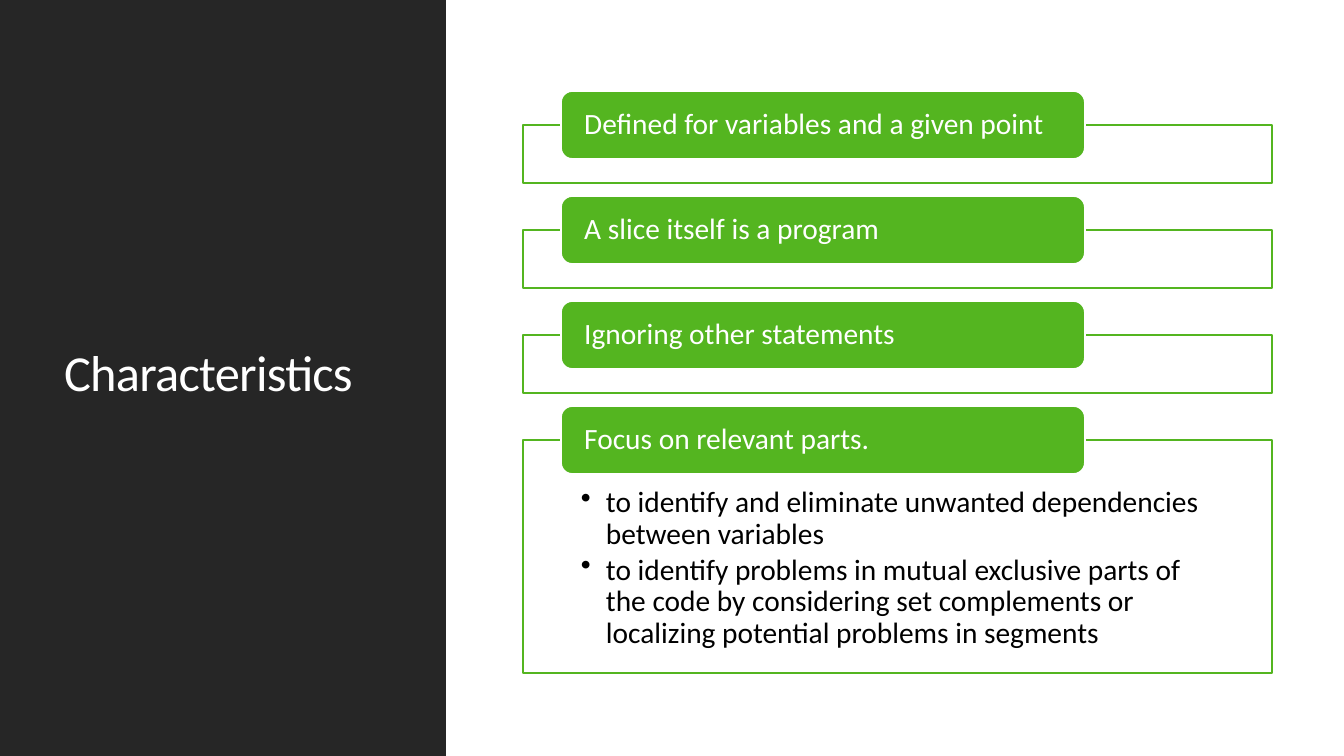
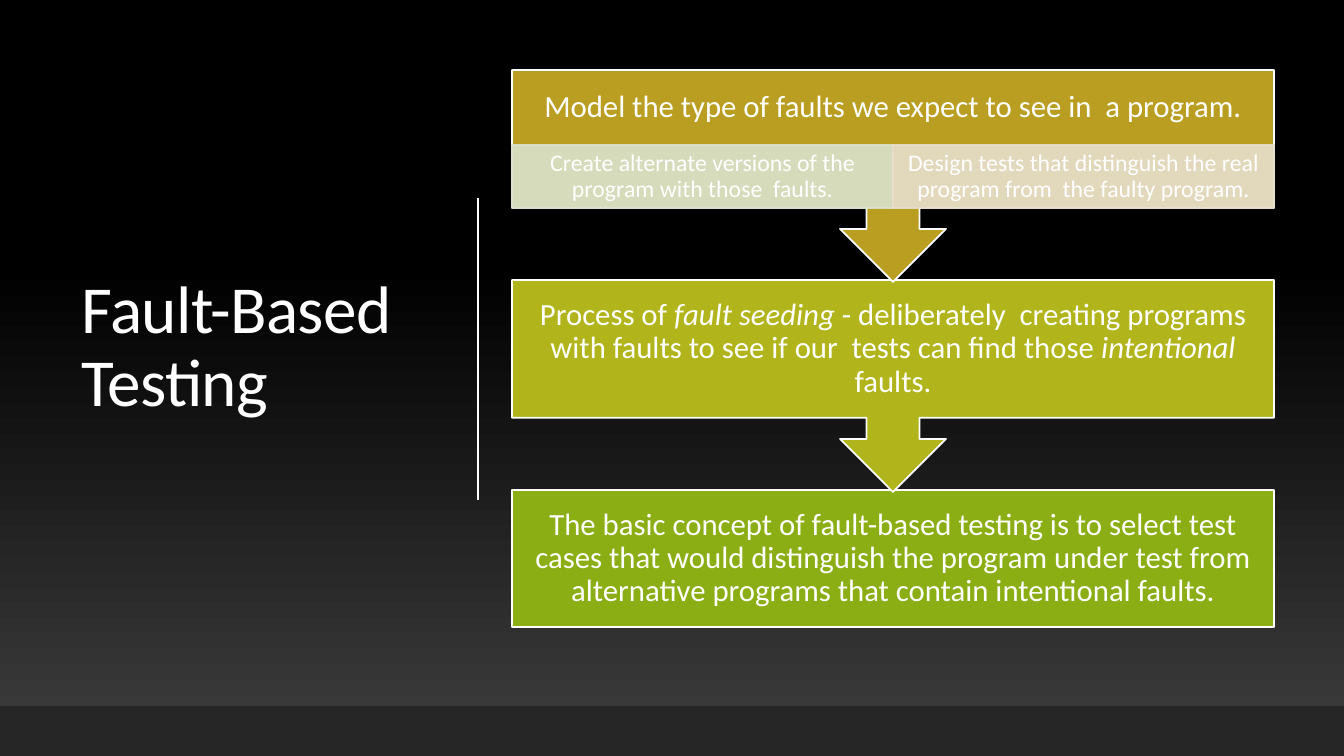
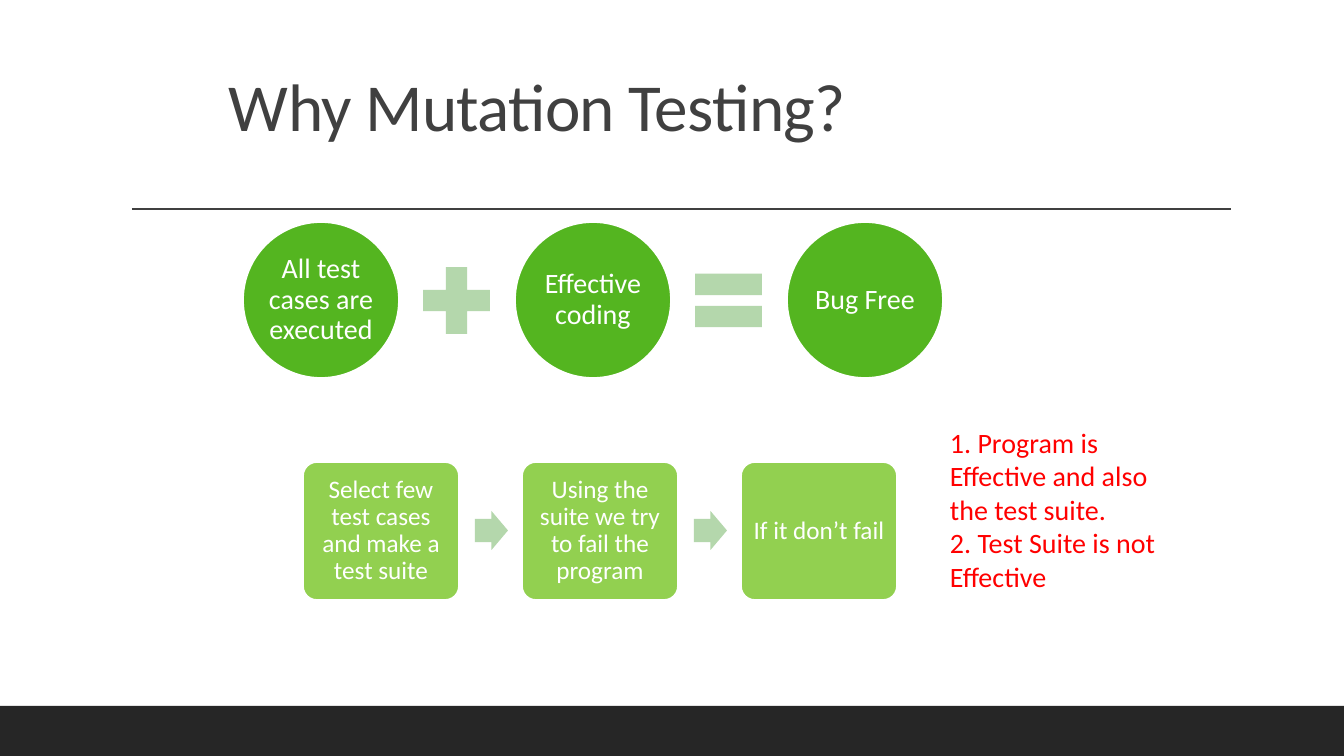
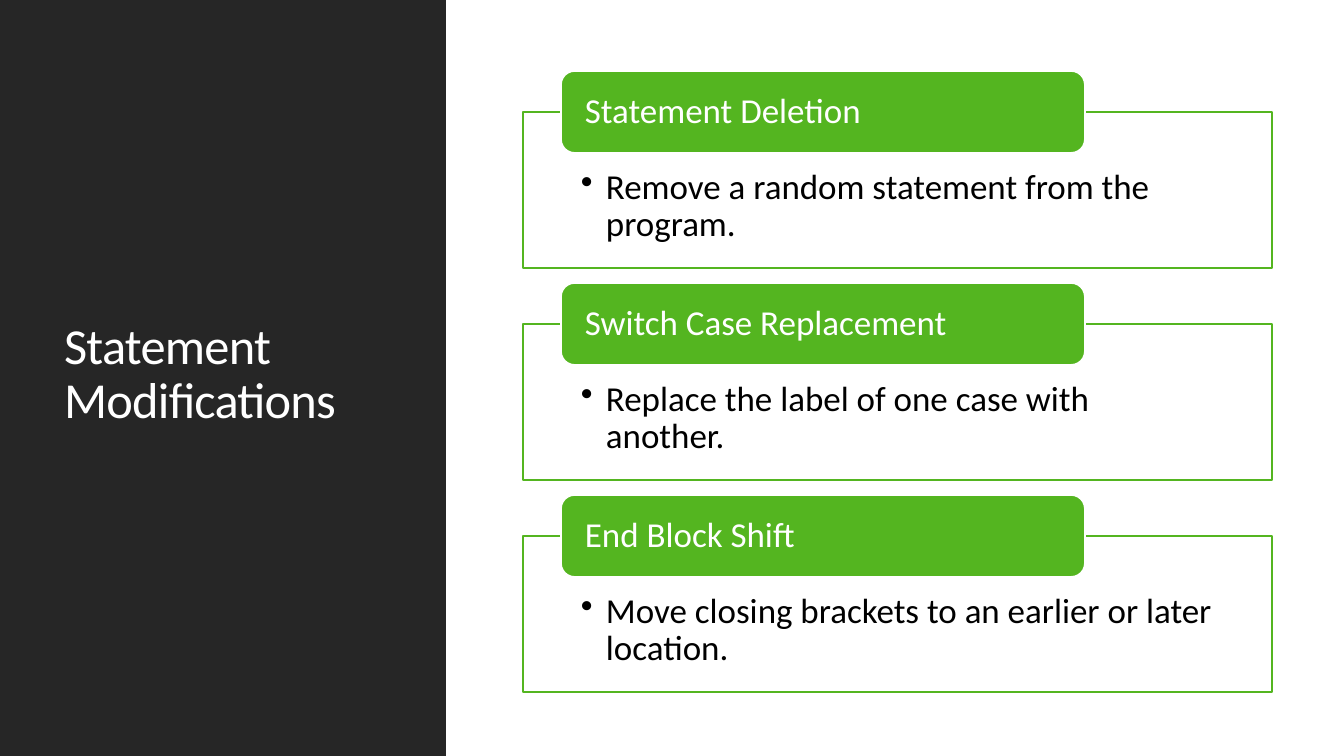
from lxml import etree
from pptx import Presentation
from pptx import util as u
from pptx.dml.color import RGBColor
from pptx.enum import shapes, text
from pptx.oxml import ns

WHITE = RGBColor(0xFF, 0xFF, 0xFF)
BLACK = RGBColor(0x00, 0x00, 0x00)
CHARCOAL = RGBColor(0x26, 0x26, 0x26)
GRAPHITE = RGBColor(0x3F, 0x3F, 0x3F)
TITLE_GREY = RGBColor(0x40, 0x40, 0x40)
GREEN = RGBColor(0x54, 0xB5, 0x20)
LIME = RGBColor(0x92, 0xD0, 0x50)
SAGE = RGBColor(0xB4, 0xD7, 0xAC)
GOLD = RGBColor(0xBA, 0x9E, 0x21)
OLIVE = RGBColor(0xB1, 0xB4, 0x1A)
LEAF = RGBColor(0x8A, 0xAE, 0x13)
PALE_GREEN = RGBColor(0xDA, 0xE3, 0xCC)
PALE_GOLD = RGBColor(0xE7, 0xDF, 0xCD)
RED = RGBColor(0xFF, 0x00, 0x00)

FONT = "Calibri"
WIDTH, HEIGHT = 1344, 756
PX_PER_INCH = 100.8
SHAPE = shapes.MSO_SHAPE
LEFT, CENTER = text.PP_ALIGN.LEFT, text.PP_ALIGN.CENTER
TOP, MIDDLE, BOTTOM = (
    text.MSO_ANCHOR.TOP,
    text.MSO_ANCHOR.MIDDLE,
    text.MSO_ANCHOR.BOTTOM,
)


def px(length):
    return u.Emu(round(length * u.Inches(1) / PX_PER_INCH))


def write_text(frame, paragraphs, size, color=WHITE, align=CENTER, anchor=MIDDLE,
               insets=(10, 5, 10, 5), line_spacing=0.9, tracking=0, bullet=False):
    """Fill a text frame; pieces between asterisks are set in italics."""
    frame.word_wrap = True
    frame.vertical_anchor = anchor
    (frame.margin_left, frame.margin_top,
     frame.margin_right, frame.margin_bottom) = map(px, insets)
    for index, content in enumerate(paragraphs):
        paragraph = frame.paragraphs[0] if index == 0 else frame.add_paragraph()
        if bullet:
            properties = paragraph._p.get_or_add_pPr()
            properties.set("marL", str(px(25)))
            properties.set("indent", str(-px(25)))
            etree.SubElement(properties, ns.qn("a:buChar")).set("char", "•")
            paragraph.space_after = u.Pt(3)
        paragraph.alignment = align
        paragraph.line_spacing = line_spacing
        for position, piece in enumerate(content.split("*")):
            run = paragraph.add_run()
            run.text = piece
            run.font.name = FONT
            run.font.size = u.Pt(size)
            run.font.color.rgb = color
            if position % 2:
                run.font.italic = True
            if tracking:
                run._r.get_or_add_rPr().set("spc", str(tracking))


class Deck:
    def __init__(self):
        self.presentation = Presentation()
        self.presentation.slide_width = px(WIDTH)
        self.presentation.slide_height = px(HEIGHT)
        self.slide = None

    def new_slide(self):
        self.slide = self.presentation.slides.add_slide(
            self.presentation.slide_layouts[6])

    def dark_background(self):
        fill = self.slide.background.fill
        fill.gradient()
        fill.gradient_angle = 90
        stops = ((0, GRAPHITE), (0.65, BLACK))
        for stop, (position, color) in zip(fill.gradient_stops, stops):
            stop.position = position
            stop.color.rgb = color

    def shape(self, kind, left, top, width, height, fill, line=None, opacity=100):
        shape = self.slide.shapes.add_shape(
            kind, px(left), px(top), px(width), px(height))
        shape.shadow.inherit = False
        shape.fill.solid()
        shape.fill.fore_color.rgb = fill
        if line is None:
            shape.line.fill.background()
        else:
            shape.line.color.rgb = line
            shape.line.width = u.Pt(1.25)
        if opacity < 100:
            for color in shape._element.spPr.iter(ns.qn("a:srgbClr")):
                alpha = etree.SubElement(color, ns.qn("a:alpha"))
                alpha.set("val", str(opacity * 1000))
        return shape

    def text_box(self, left, top, width, height, paragraphs, **style):
        box = self.slide.shapes.add_textbox(
            px(left), px(top), px(width), px(height))
        write_text(box.text_frame, paragraphs, align=LEFT, **style)

    def title(self, left, top, width, height, content, size, **style):
        self.text_box(left, top, width, height, [content], size=size,
                      tracking=-50, **style)

    def rule(self, start, end, color):
        line = self.slide.shapes.add_connector(
            shapes.MSO_CONNECTOR.STRAIGHT, *map(px, start + end))
        line.line.color.rgb = color
        line.line.width = u.Pt(1)
        etree.SubElement(line._element.spPr, ns.qn("a:effectLst"))

    def bottom_band(self):
        self.shape(SHAPE.RECTANGLE, 0, 706, WIDTH, 50, CHARCOAL)

    def side_title(self, content):
        self.shape(SHAPE.RECTANGLE, 0, 0, 446, HEIGHT, CHARCOAL)
        self.title(54, 57, 340, 636, content, 36)

    def card(self, top, height, label_height, heading, points, size):
        frame = self.shape(SHAPE.RECTANGLE, 523, top, 749, height, WHITE, GREEN)
        if points:
            write_text(frame.text_frame, points, size, color=BLACK, align=LEFT,
                       anchor=TOP, bullet=True,
                       insets=(58, label_height * 7 // 10, 58, 16))
        label = self.shape(SHAPE.ROUNDED_RECTANGLE, 561, top - label_height // 2,
                           524, label_height, GREEN, WHITE)
        write_text(label.text_frame, [heading], size, align=LEFT,
                   insets=(20, 0, 20, 0))


def characteristics(deck):
    deck.new_slide()
    deck.side_title("Characteristics")
    cards = [
        ("Defined for variables and a given point", []),
        ("A slice itself is a program", []),
        ("Ignoring other statements", []),
        ("Focus on relevant parts.", [
            "to identify and eliminate unwanted dependencies between variables",
            "to identify problems in mutual exclusive parts of the code by "
            "considering set complements or localizing potential problems "
            "in segments",
        ]),
    ]
    for index, (heading, points) in enumerate(cards):
        deck.card(125 + 105 * index, 233 if points else 58, 68,
                  heading, points, 21)


def fault_based_testing(deck):
    deck.new_slide()
    deck.dark_background()
    deck.title(72, 70, 372, 557, "Fault-Based Testing", 48)
    deck.rule((478, 198), (478, 500), WHITE)
    deck.bottom_band()
    left, top, width, step = 512, 70, 762, 210
    steps = [
        (SHAPE.DOWN_ARROW_CALLOUT, 212, GOLD, 80,
         "Model the type of faults we expect to see in  a program."),
        (SHAPE.DOWN_ARROW_CALLOUT, 212, OLIVE, 17,
         "Process of *fault seeding *- deliberately  creating programs with "
         "faults to see if our  tests can find those *intentional *faults."),
        (SHAPE.RECTANGLE, 137, LEAF, 17,
         "The basic concept of fault-based testing is to select test cases "
         "that would distinguish the program under test from alternative "
         "programs that contain intentional faults."),
    ]
    for index, (kind, height, fill, bottom, content) in reversed(
            list(enumerate(steps))):
        box = deck.shape(kind, left, top + step * index, width, height, fill, WHITE)
        write_text(box.text_frame, [content], 22, insets=(17, 17, 17, bottom))
    details = [
        (PALE_GREEN, "Create alternate versions of the program with those  faults."),
        (PALE_GOLD, "Design tests that distinguish the real program from  "
                    "the faulty program."),
    ]
    half = width // 2
    for index, (fill, content) in enumerate(details):
        box = deck.shape(SHAPE.RECTANGLE, left + half * index, 145, half, 63,
                         fill, fill, opacity=90)
        write_text(box.text_frame, [content], 17, insets=(13, 2, 13, 2))


def why_mutation_testing(deck):
    deck.new_slide()
    deck.bottom_band()
    deck.rule((132, 209), (1231, 209), TITLE_GREY)
    deck.title(219, 25, 907, 126, "Why Mutation Testing?", 48,
               color=TITLE_GREY, anchor=BOTTOM)
    equation = [
        ("All test cases are executed", SHAPE.MATH_PLUS),
        ("Effective coding", SHAPE.MATH_EQUAL),
        ("Bug Free", None),
    ]
    for index, (content, operator) in enumerate(equation):
        left = 243 + 272 * index
        circle = deck.shape(SHAPE.OVAL, left, 222, 156, 156, GREEN, WHITE)
        write_text(circle.text_frame, [content], 20, insets=(3, 3, 3, 3))
        if operator:
            deck.shape(operator, left + 168, 255, 91, 91, SAGE)
    process = [
        "Select few test cases and make a test suite",
        "Using the suite we try to fail the program",
        "If it don’t fail",
    ]
    for index, content in enumerate(process):
        left = 303 + 219 * index
        box = deck.shape(SHAPE.ROUNDED_RECTANGLE, left, 462, 156, 138, LIME, WHITE)
        box.adjustments[0] = 0.1
        write_text(box.text_frame, [content], 18, insets=(7, 7, 7, 7))
        if index < len(process) - 1:
            arrow = deck.shape(SHAPE.RIGHT_ARROW, left + 172, 511, 33, 39, SAGE)
            arrow.adjustments[0] = 0.6
    deck.text_box(940, 420, 227, 179, [
        "1. Program is Effective and also the test suite.",
        "2. Test Suite is not Effective",
    ], size=20, color=RED, anchor=TOP, line_spacing=1.0)


def statement_modifications(deck):
    deck.new_slide()
    deck.side_title("Statement Modifications")
    cards = [
        ("Statement Deletion", "Remove a random statement from the program."),
        ("Switch Case Replacement", "Replace the label of one case with another."),
        ("End Block Shift", "Move closing brackets to an earlier or later location."),
    ]
    for index, (heading, point) in enumerate(cards):
        deck.card(112 + 212 * index, 156, 82, heading, [point], 25)


def main():
    deck = Deck()
    characteristics(deck)
    fault_based_testing(deck)
    why_mutation_testing(deck)
    statement_modifications(deck)
    deck.presentation.save("out.pptx")


if __name__ == "__main__":
    main()
